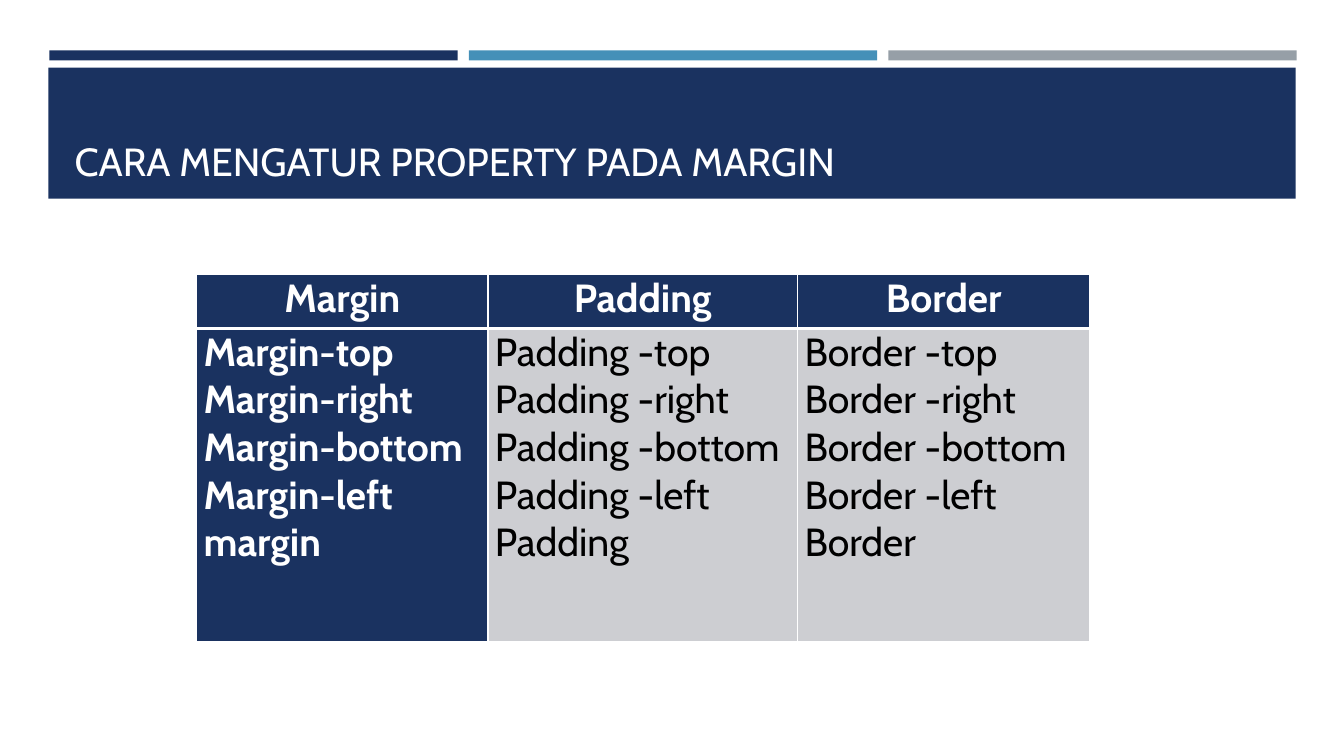
from pptx import Presentation
from pptx.dml.color import RGBColor
from pptx.enum.shapes import MSO_SHAPE
from pptx.enum.text import MSO_ANCHOR, MSO_AUTO_SIZE, PP_ALIGN
from pptx.oxml import parse_xml
from pptx.oxml.ns import nsdecls
from pptx.util import Emu, Pt

NAVY, BLUE, GREY = "1A3260", "4590B8", "969FA7"
PALE, WHITE, BLACK = "CDCED2", "FFFFFF", "000000"


def px(length):
    """One px is a hundredth of an inch."""
    return Emu(length * 9144)


def color(value):
    return RGBColor.from_string(value)


class SlideBuilder:
    font_name = "Cabin"
    font_size = Pt(28)

    def __init__(self, presentation):
        self.slide = presentation.slides.add_slide(presentation.slide_layouts[5])

    def style(self, paragraph, text_color, bold=False, align=PP_ALIGN.LEFT):
        paragraph.alignment = align
        font = paragraph.font
        font.name, font.size, font.bold = self.font_name, self.font_size, bold
        font.color.rgb = color(text_color)

    def bar(self, left, top, width, height, fill):
        shape = self.slide.shapes.add_shape(
            MSO_SHAPE.RECTANGLE, px(left), px(top), px(width), px(height))
        shape.shadow.inherit = False
        shape.fill.solid()
        shape.fill.fore_color.rgb = color(fill)
        shape.line.fill.background()

    def title(self, text, left, top, width, height):
        title = self.slide.shapes.title
        title.left, title.top = px(left), px(top)
        title.width, title.height = px(width), px(height)
        frame = title.text_frame
        frame.text = text
        frame.word_wrap = True
        frame.auto_size = MSO_AUTO_SIZE.NONE
        frame.vertical_anchor = MSO_ANCHOR.BOTTOM
        self.style(frame.paragraphs[0], WHITE)
        # Bring the title in front of its band
        self.slide.shapes._spTree.append(title._element)

    def borders(self, cell, widths):
        properties = cell._tc.get_or_add_tcPr()
        for index, (side, width) in enumerate(widths.items()):
            properties.insert(index, parse_xml(
                f'<a:ln{side} {nsdecls("a")} w="{Pt(width)}"><a:solidFill>'
                f'<a:srgbClr val="{WHITE}"/></a:solidFill></a:ln{side}>'))

    def cell(self, cell, lines, fill, text_color, bold, align, widths):
        cell.margin_left = cell.margin_right = px(7)
        cell.margin_top = cell.margin_bottom = 0
        cell.fill.solid()
        cell.fill.fore_color.rgb = color(fill)
        cell.text = "\n".join(lines)
        for paragraph in cell.text_frame.paragraphs:
            self.style(paragraph, text_color, bold, align)
        self.borders(cell, widths)

    def table(self, columns, left, top, column_widths, row_heights):
        table = self.slide.shapes.add_table(
            len(row_heights), len(columns), px(left), px(top),
            px(sum(column_widths)), px(sum(row_heights))).table
        for row, height in zip(table.rows, row_heights):
            row.height = px(height)
        for index, (heading, lines) in enumerate(columns.items()):
            table.columns[index].width = px(column_widths[index])
            self.cell(table.cell(0, index), [heading], NAVY, WHITE, True,
                      PP_ALIGN.CENTER, {"L": 1, "R": 1, "T": 1, "B": 3})
            first = index == 0
            self.cell(table.cell(1, index), lines, NAVY if first else PALE,
                      WHITE if first else BLACK, first,
                      PP_ALIGN.LEFT, {"L": 1, "R": 1, "T": 3, "B": 1})


def main():
    presentation = Presentation()
    presentation.slide_width, presentation.slide_height = px(1333), px(750)
    builder = SlideBuilder(presentation)

    # Three accent bars above the title band
    for index, fill in enumerate((NAVY, BLUE, GREY)):
        builder.bar(49 + index * 416, 50, 405, 10, fill)
    builder.bar(48, 67, 1237, 130, NAVY)
    builder.title("CARA MENGATUR PROPERTY PADA MARGIN", 64, 77, 1206, 111)

    # Property table
    sides = ("top", "right", "bottom", "left")
    columns = {
        "Margin": [f"Margin-{side}" for side in sides] + ["margin"],
        "Padding": [f"Padding -{side}" for side in sides] + ["Padding"],
        "Border": [f"Border -{side}" for side in sides] + ["Border"],
    }
    builder.table(columns, 195, 272, (289, 307, 290), (54, 311))
    presentation.save("out.pptx")


if __name__ == "__main__":
    main()
